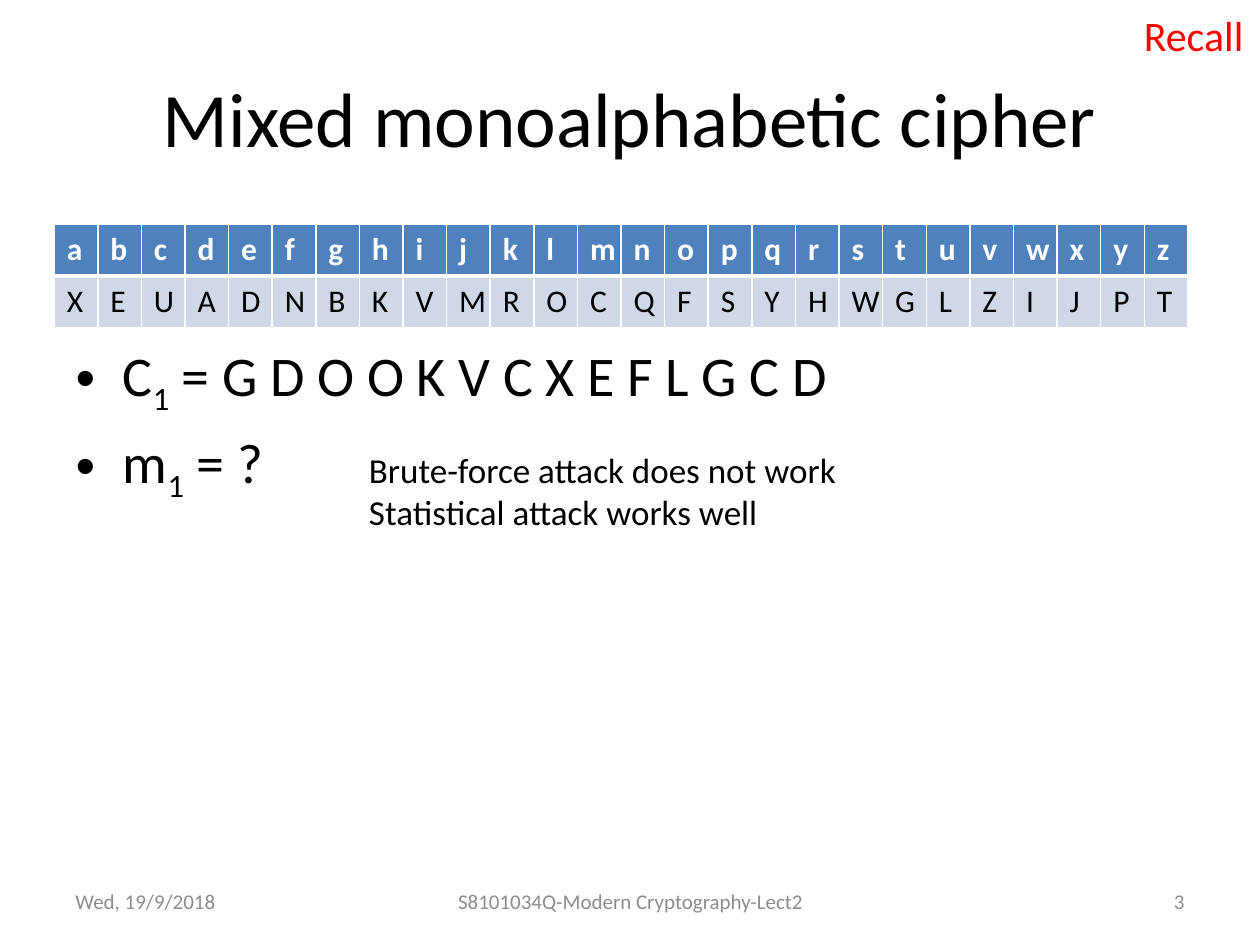
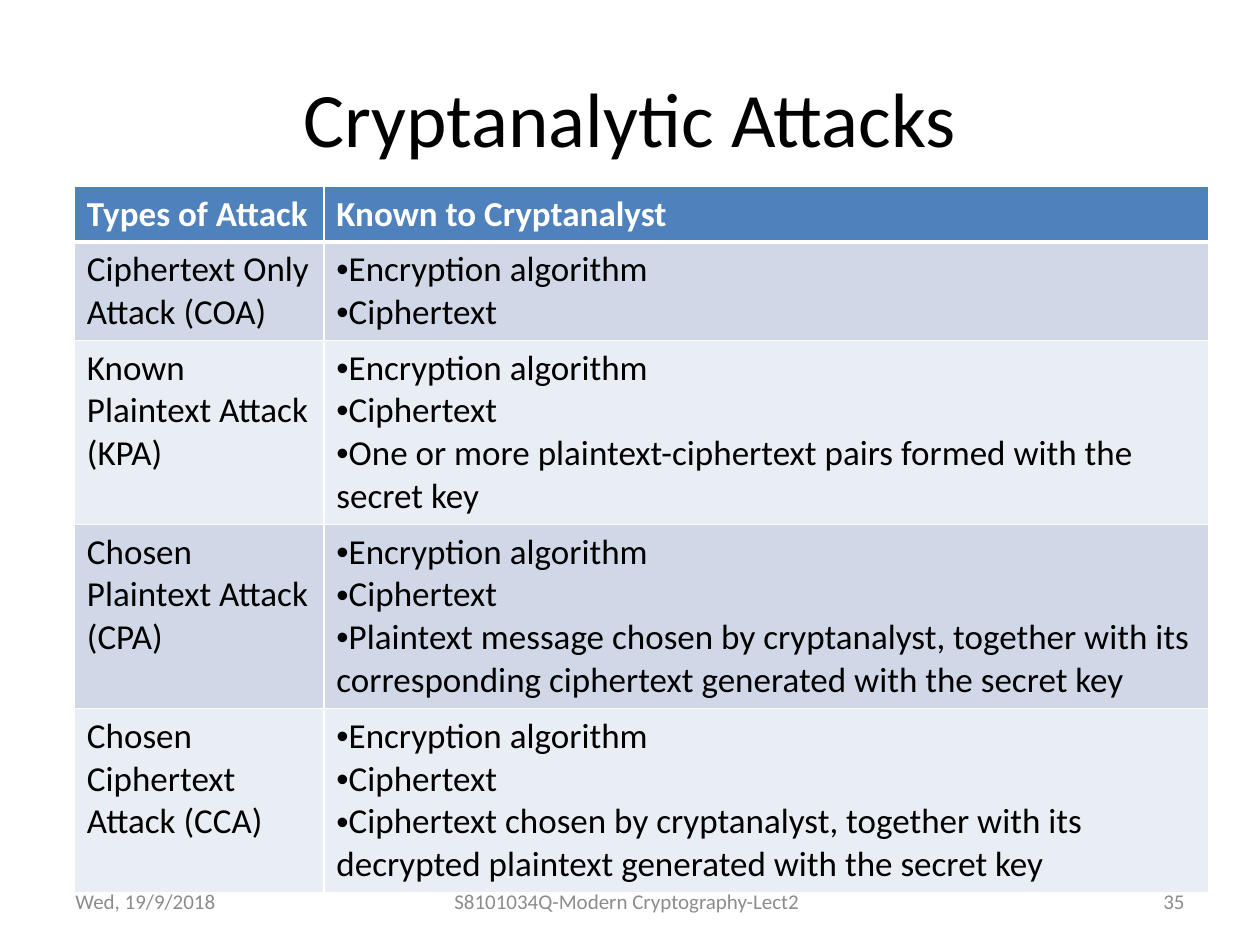
"""Build two cryptography lecture slides: a mixed cipher and a table of attacks."""
from dataclasses import dataclass

from lxml.etree import SubElement
from pptx import Presentation
from pptx.dml.color import RGBColor
from pptx.enum.text import MSO_ANCHOR as Anchor, MSO_AUTO_SIZE as AutoSize, PP_ALIGN as Align
from pptx.oxml.ns import qn
from pptx.util import Inches, Pt

COLOURS = {
    "text": "000000",
    "recall": "FF0000",
    "footer": "8C8C8C",
    "header": "4F81BD",
    "header_text": "FFFFFF",
    "border": "FFFFFF",
    "odd_row": "D0D8E8",
    "even_row": "E9EDF4",
}
FONT = "Calibri"
TITLE_AREA = (0.5, 0.3, 9, 1.25)
FOOTER_TOP, FOOTER_HEIGHT = 6.95, 0.4
DATE = "Wed, 19/9/2018"
COURSE = "S8101034Q-Modern Cryptography-Lect2"

PLAIN_ALPHABET = "abcdefghijklmnopqrstuvwxyz"
CIPHER_ALPHABET = "XEUADNBKVMROCQFSYHWGLZIJPT"

COMMON_KNOWLEDGE = ["Encryption algorithm", "Ciphertext"]
ATTACKS = {
    "Ciphertext Only Attack (COA)": [],
    "Known Plaintext Attack (KPA)": [
        "One or more plaintext-ciphertext pairs formed with the secret key"],
    "Chosen Plaintext Attack (CPA)": [
        "Plaintext message chosen by cryptanalyst, together with its "
        "corresponding ciphertext generated with the secret key"],
    "Chosen Ciphertext Attack (CCA)": [
        "Ciphertext chosen by cryptanalyst, together with its "
        "decrypted plaintext generated with the secret key"],
}


@dataclass
class Label:
    area: tuple
    lines: list
    size: int
    colour: str = "text"
    align: Align = Align.LEFT
    anchor: Anchor = Anchor.TOP
    wrap: bool = False


@dataclass
class Grid:
    area: tuple
    rows: list
    size: int
    row_heights: list
    column_widths: list


def inches(lengths) -> list:
    return [Inches(length) for length in lengths]


def place(shape, area: tuple) -> None:
    for name, length in zip(("left", "top", "width", "height"), inches(area)):
        setattr(shape, name, length)


def add_span(para, text: str, size: int, colour: str = "text", bold: bool = False,
             subscript: bool = False) -> None:
    span = para.add_run()
    span.text = text
    for name, value in {"name": FONT, "size": Pt(size), "bold": bold}.items():
        setattr(span.font, name, value)
    span.font.color.rgb = RGBColor.from_string(COLOURS[colour])
    if subscript:
        span._r.get_or_add_rPr().set("baseline", "-25000")


def add_lines(frame, lines: list) -> list:
    """Return one empty paragraph for each line."""
    return [frame.paragraphs[0]] + [frame.add_paragraph() for _ in lines[1:]]


def add_title(page, text: str) -> None:
    title = page.shapes.title
    place(title, TITLE_AREA)
    title.text_frame.vertical_anchor = Anchor.MIDDLE
    para = title.text_frame.paragraphs[0]
    para.alignment = Align.CENTER
    add_span(para, text, 44)


def add_label(page, label: Label) -> None:
    box = page.shapes.add_textbox(*inches(label.area))
    settings = {
        "word_wrap": label.wrap,
        "vertical_anchor": label.anchor,
        "auto_size": AutoSize.NONE if label.wrap else AutoSize.SHAPE_TO_FIT_TEXT,
    }
    for name, value in settings.items():
        setattr(box.text_frame, name, value)
    for para, line in zip(add_lines(box.text_frame, label.lines), label.lines):
        para.alignment = label.align
        add_span(para, line, label.size, label.colour)


def add_footer(page, number: int, course_left: float, course_width: float) -> None:
    for left, width, text, align in (
        (0.5, 2.33, DATE, Align.LEFT),
        (course_left, course_width, COURSE, Align.CENTER),
        (7.17, 2.33, str(number), Align.RIGHT),
    ):
        area = (left, FOOTER_TOP, width, FOOTER_HEIGHT)
        add_label(page, Label(area, [text], 12, "footer", align, Anchor.MIDDLE, True))


def add_bullet(para) -> None:
    properties = para._p.get_or_add_pPr()
    for name in ("marL", "indent"):
        properties.set(name, "0")
    SubElement(properties, qn("a:buFont"), typeface="Arial")
    SubElement(properties, qn("a:buChar"), char="•")


def add_borders(cell, row: int) -> None:
    """Draw the four borders, with a thick one under the header."""
    thick = {0: "lnB", 1: "lnT"}.get(row)
    properties = cell._tc.get_or_add_tcPr()
    for side in ("lnL", "lnR", "lnT", "lnB"):
        width = Pt(3 if side == thick else 1)
        line = SubElement(properties, qn(f"a:{side}"), w=str(width))
        fill = SubElement(line, qn("a:solidFill"))
        SubElement(fill, qn("a:srgbClr"), val=COLOURS["border"])


def fill_cell(cell, content, row: int, size: int) -> None:
    """Fill a cell with a text, or with a list as bullets."""
    add_borders(cell, row)
    background = "header" if row == 0 else ("odd_row" if row % 2 else "even_row")
    cell.fill.solid()
    cell.fill.fore_color.rgb = RGBColor.from_string(COLOURS[background])
    bulleted = isinstance(content, list)
    lines = content if bulleted else [content]
    for para, line in zip(add_lines(cell.text_frame, lines), lines):
        if bulleted:
            add_bullet(para)
        add_span(para, line, size, "text" if row else "header_text", bold=row == 0)


def add_grid(page, grid: Grid) -> None:
    frame = page.shapes.add_table(len(grid.rows), len(grid.rows[0]), *inches(grid.area))
    table = frame.table
    for column, width in zip(table.columns, inches(grid.column_widths)):
        column.width = width
    for row, height in zip(table.rows, inches(grid.row_heights)):
        row.height = height
    for row, contents in enumerate(grid.rows):
        for column, content in enumerate(contents):
            fill_cell(table.cell(row, column), content, row, grid.size)


def build_cipher_page(deck) -> None:
    page = deck.slides.add_slide(deck.slide_layouts[1])
    add_title(page, "Mixed monoalphabetic cipher")
    body = page.placeholders[1]
    place(body, (0.5, 2.65, 9, 4.05))
    formulas = [("C", " = G D O O K V C X E F L G C D"), ("m", " = ?")]
    for para, (symbol, value) in zip(add_lines(body.text_frame, formulas), formulas):
        add_span(para, symbol, 32)
        add_span(para, "1", 32, subscript=True)
        add_span(para, value, 32)
    add_footer(page, 3, 3.42, 3.17)
    letters = len(PLAIN_ALPHABET)
    add_grid(page, Grid((0.43, 1.78, 9, 0.82), [PLAIN_ALPHABET, CIPHER_ALPHABET], 18,
                        [0.41] * 2, [9 / letters] * letters))
    add_label(page, Label((2.83, 3.51, 3.95, 0.77),
                          ["Brute-force attack does not work",
                           "Statistical attack works well"], 20))
    add_label(page, Label((8.98, 0.03, 1, 0.5), ["Recall"], 24, "recall"))


def build_attacks_page(deck) -> None:
    page = deck.slides.add_slide(deck.slide_layouts[5])
    add_title(page, "Cryptanalytic Attacks")
    rows = [("Types of Attack", "Known to Cryptanalyst")]
    rows += [(attack, COMMON_KNOWLEDGE + extra) for attack, extra in ATTACKS.items()]
    add_grid(page, Grid((0.59, 1.48, 9, 5.5), rows, 20,
                        [0.41, 0.77] + [1.44] * 3, [1.98, 7.02]))
    add_footer(page, 35, 2.95, 4.05)


def main() -> None:
    deck = Presentation()
    deck.slide_width, deck.slide_height = Inches(10), Inches(7.5)
    build_cipher_page(deck)
    build_attacks_page(deck)
    deck.save("out.pptx")


if __name__ == "__main__":
    main()
